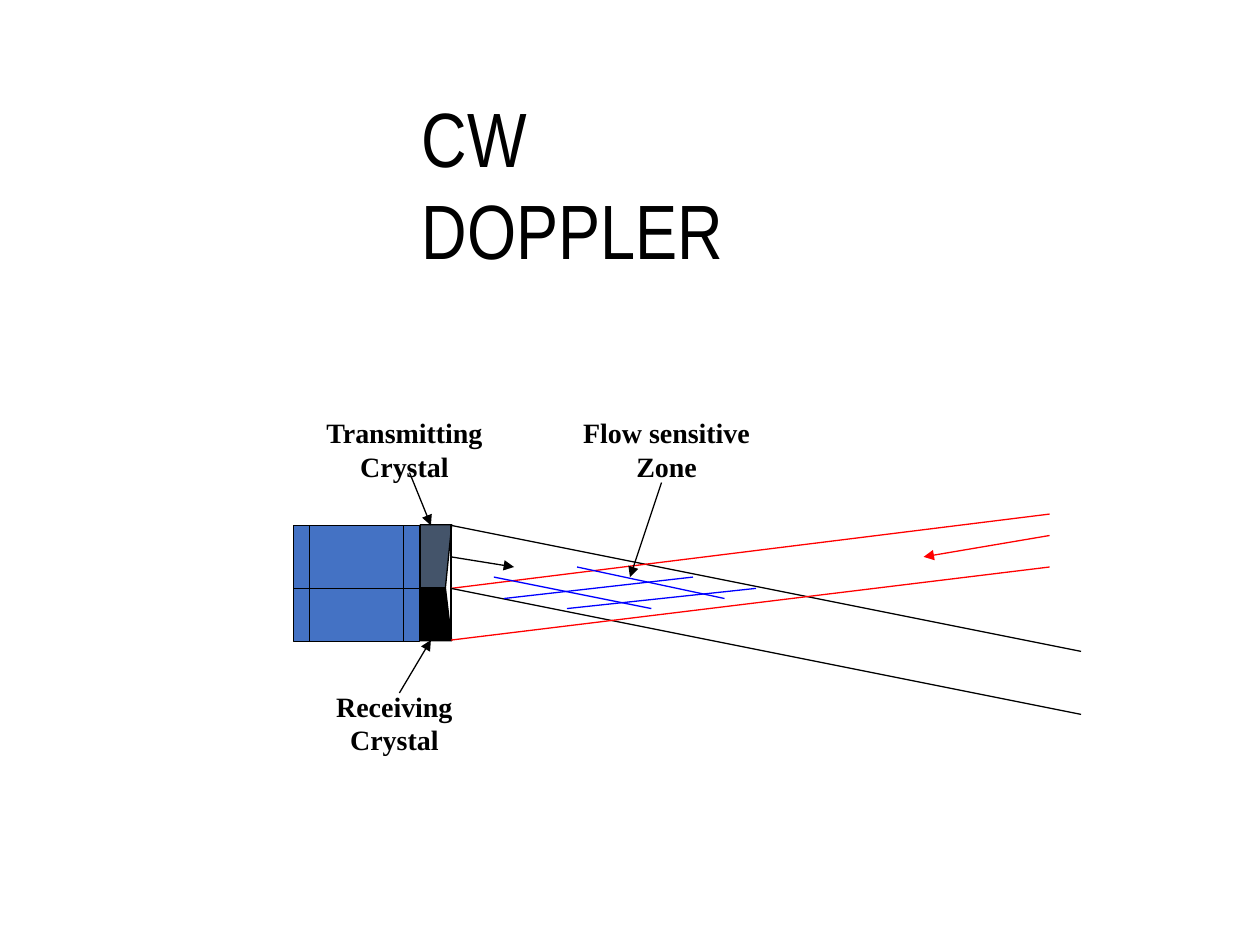
"""Build a slide showing the crystals and beams of CW Doppler."""
from lxml import etree
from pptx import Presentation
from pptx.dml.color import RGBColor
from pptx.enum import shapes, text
from pptx.oxml import ns
from pptx.util import Inches, Pt

BLACK = RGBColor(0x00, 0x00, 0x00)
RED = RGBColor(0xFF, 0x00, 0x00)
BLUE = RGBColor(0x00, 0x00, 0xFF)
HOUSING = RGBColor(0x44, 0x72, 0xC4)
SLATE = RGBColor(0x44, 0x54, 0x6A)

PROCESS = shapes.MSO_SHAPE.FLOWCHART_PREDEFINED_PROCESS
CRYSTAL = shapes.MSO_SHAPE.FLOWCHART_MANUAL_INPUT
LEFT, CENTER = text.PP_ALIGN.LEFT, text.PP_ALIGN.CENTER

PROBE_PARTS = [
    (PROCESS, (2.33, 4.17, 1, 0.5), HOUSING, 0, False),
    (PROCESS, (2.33, 4.67, 1, 0.42), HOUSING, 0, False),
    (CRYSTAL, (3.21, 4.29, 0.5, 0.25), SLATE, 270, True),
    (CRYSTAL, (3.25, 4.75, 0.42, 0.25), BLACK, 90, False),
]
BEAMS = [
    ((3.58, 4.17), (3.58, 5.08), BLACK, False),
    ((3.58, 4.17), (8.58, 5.17), BLACK, False),
    ((3.58, 4.67), (8.33, 4.08), RED, False),
    ((3.58, 4.67), (8.58, 5.67), BLACK, False),
    ((3.58, 5.08), (8.33, 4.5), RED, False),
    ((8.33, 4.25), (7.33, 4.42), RED, True),
    ((3.58, 4.42), (4.08, 4.5), BLACK, True),
]
FLOW_ZONE = [
    ((4.5, 4.83), (6, 4.67), BLUE, False),
    ((4, 4.75), (5.5, 4.58), BLUE, False),
    ((4.58, 4.5), (5.75, 4.75), BLUE, False),
    ((3.92, 4.58), (5.17, 4.83), BLUE, False),
]
LABELS = [
    ((3.25, 0.67, 3.25, 0.83), ["CW DOPPLER"], "Arial Narrow", 44, False, LEFT),
    ((4.33, 3.25, 1.92, 0.64), ["Flow sensitive Zone"], "Times New Roman", 16, True, CENTER),
    ((2.25, 3.25, 1.92, 0.64), ["Transmitting", "Crystal"], "Times New Roman", 16, True, CENTER),
    ((2.17, 5.42, 1.92, 0.64), ["Receiving", "Crystal"], "Times New Roman", 16, True, CENTER),
]
POINTERS = [
    ((5.25, 3.83), (5, 4.58), BLACK, True),
    ((3.17, 5.5), (3.42, 5.08), BLACK, True),
    ((3.25, 3.75), (3.42, 4.17), BLACK, True),
]


def draw_part(page, kind, place, color, turn, flipped):
    part = page.shapes.add_shape(kind, *map(Inches, place))
    part.shadow.inherit = False
    part.fill.solid()
    part.fill.fore_color.rgb = color
    part.line.color.rgb = BLACK
    part.line.width = Pt(0.75)
    part.rotation = turn
    if flipped:
        part.element.spPr.find(ns.qn("a:xfrm")).set("flipV", "1")


def draw_line(page, start, end, color, arrow):
    line = page.shapes.add_connector(
        shapes.MSO_CONNECTOR.STRAIGHT, *map(Inches, start + end))
    line.line.color.rgb = color
    line.line.width = Pt(0.75)
    properties = line.element.spPr
    if arrow:
        outline = properties.find(ns.qn("a:ln"))
        etree.SubElement(outline, ns.qn("a:tailEnd"), type="triangle")
    etree.SubElement(properties, ns.qn("a:effectLst"))


def draw_label(page, place, lines, font, size, bold, align):
    box = page.shapes.add_textbox(*map(Inches, place))
    frame = box.text_frame
    frame.word_wrap = True
    frame.auto_size = text.MSO_AUTO_SIZE.SHAPE_TO_FIT_TEXT
    for index, words in enumerate(lines):
        para = frame.add_paragraph() if index else frame.paragraphs[0]
        para.alignment = align
        span = para.add_run()
        span.text = words
        span.font.name = font
        span.font.size = Pt(size)
        span.font.bold = bold
        span.font.color.rgb = BLACK


def main():
    deck = Presentation()
    deck.slide_width, deck.slide_height = Inches(10), Inches(7.5)
    page = deck.slides.add_slide(deck.slide_layouts[6])
    for part in PROBE_PARTS:
        draw_part(page, *part)
    for line in BEAMS + FLOW_ZONE:
        draw_line(page, *line)
    for label in LABELS:
        draw_label(page, *label)
    for pointer in POINTERS:
        draw_line(page, *pointer)
    deck.save("out.pptx")


if __name__ == "__main__":
    main()
